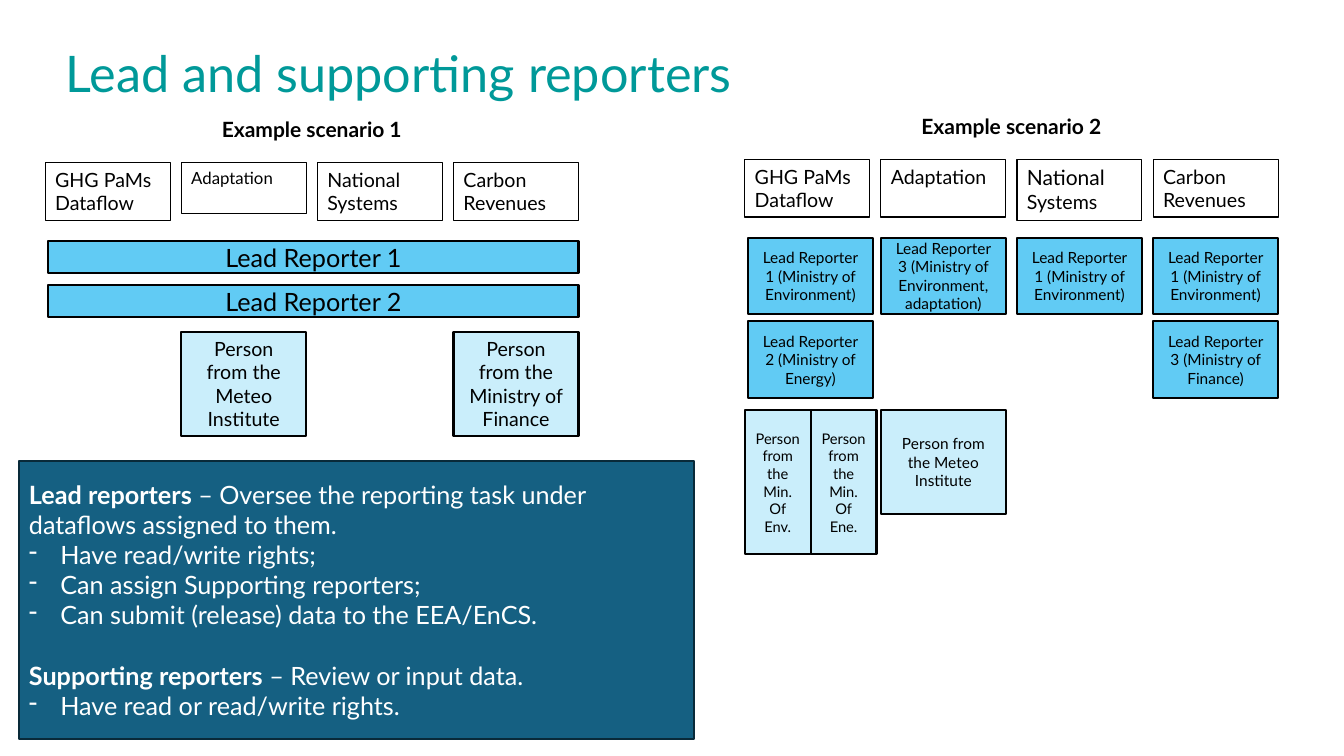
from dataclasses import dataclass

from lxml import etree
from pptx import Presentation
from pptx import util as u
from pptx.dml import color
from pptx.enum import shapes, text
from pptx.oxml import ns


@dataclass(frozen=True)
class Theme:
    font: str = "Lato"
    title: str = "009999"
    ink: str = "000000"
    paper: str = "FFFFFF"
    lead: str = "61CBF4"
    support: str = "CAEEFB"
    panel: str = "156082"
    panel_edge: str = "092A39"
    title_size: float = 36
    large: float = 18
    heading: float = 15
    body: float = 14
    reduced: float = 12
    small: float = 11
    tiny: float = 10.5


THEME = Theme()
COLUMN_PITCH, COLUMN_WIDTH = 3.43, 3.15
SCENARIO_WIDTH = 3 * COLUMN_PITCH + COLUMN_WIDTH
LEAD_INSET = 0.08
SUPPORT_HEIGHT = 2.62
MIDDLE = {"vertical_anchor": text.MSO_ANCHOR.MIDDLE}
TOP = {"vertical_anchor": text.MSO_ANCHOR.TOP}
CENTER, LEFT = text.PP_ALIGN.CENTER, text.PP_ALIGN.LEFT


def apply(target, formats):
    for name, value in formats.items():
        setattr(target, name, value)


def write(paragraph, runs, ink, align=LEFT):
    """Fill a paragraph from (wording, size, bold) runs."""
    paragraph.alignment = align
    for wording, size, bold in runs:
        run = paragraph.add_run()
        run.text = wording
        apply(run.font, {"name": THEME.font, "size": u.Pt(size), "bold": bold})
        run.font.color.rgb = color.RGBColor.from_string(ink)


def add_box(slide, box, fill, edge=THEME.ink, weight=1.5, frame_format=MIDDLE):
    """Draw a rectangle at box (left, top, width, height in cm); return its text frame."""
    rectangle = slide.shapes.add_shape(
        shapes.MSO_SHAPE.RECTANGLE, *(u.Cm(length) for length in box))
    rectangle.shadow.inherit = False
    rectangle.fill.solid()
    rectangle.fill.fore_color.rgb = color.RGBColor.from_string(fill)
    rectangle.line.color.rgb = color.RGBColor.from_string(edge)
    rectangle.line.width = u.Pt(weight)
    apply(rectangle.text_frame, {"word_wrap": True, **frame_format})
    return rectangle.text_frame


def add_role(slide, box, wording, size, fill):
    frame = add_box(slide, box, fill)
    write(frame.paragraphs[0], [(wording, size, False)], THEME.ink, CENTER)


def add_title(slide, box, wording):
    title = slide.shapes.title
    apply(title, dict(zip(("left", "top", "width", "height"), map(u.Cm, box))))
    apply(title.text_frame, {"word_wrap": True, "auto_size": text.MSO_AUTO_SIZE.NONE, **TOP})
    write(title.text_frame.paragraphs[0],
          [(wording, THEME.title_size, False)], THEME.title)


def add_scenario_head(slide, left, top, name, dataflows):
    """Place the scenario name and its row of dataflow boxes."""
    caption = slide.shapes.add_textbox(
        u.Cm(left), u.Cm(top), u.Cm(SCENARIO_WIDTH), u.Cm(0.89)).text_frame
    caption.word_wrap = True
    write(caption.paragraphs[0], [(name, THEME.heading, True)], THEME.ink, CENTER)
    for column, (runs, height) in enumerate(dataflows):
        box = (left + column * COLUMN_PITCH, top + 1.28, COLUMN_WIDTH, height)
        frame = add_box(slide, box, THEME.paper, weight=0.75, frame_format=TOP)
        write(frame.paragraphs[0], [(*run, False) for run in runs], THEME.ink)


def add_shared_scenario(slide, left, top):
    """Scenario 1: lead reporters span all the dataflows."""
    add_scenario_head(slide, left, top, "Example scenario 1", [
        ([("GHG PaMs Dataflow", THEME.body)], 1.45),
        ([("Adaptation", THEME.reduced)], 1.27),
        ([("National Systems", THEME.body)], 1.45),
        ([("Carbon Revenues", THEME.body)], 1.45)])
    for row, reporter in enumerate(("Lead Reporter 1", "Lead Reporter 2")):
        box = (left + LEAD_INSET, top + 3.25 + row * 1.12,
               SCENARIO_WIDTH - LEAD_INSET, 0.81)
        add_role(slide, box, reporter, THEME.large, THEME.lead)
    for column, person in ((1, "Person from the Meteo Institute"),
                           (3, "Person from the Ministry of Finance")):
        box = (left + column * COLUMN_PITCH, top + 5.54, COLUMN_WIDTH, SUPPORT_HEIGHT)
        add_role(slide, box, person, THEME.body, THEME.support)


def add_split_scenario(slide, left, top):
    """Scenario 2: each dataflow has its own reporters."""
    add_scenario_head(slide, left, top, "Example scenario 2", [
        ([("GHG PaMs Dataflow", THEME.body)], 1.45),
        ([("Adaptation", THEME.body)], 1.45),
        ([("National ", THEME.heading), ("Systems", THEME.body)], 1.55),
        ([("Carbon Revenues", THEME.body)], 1.45)])
    environment = "Lead Reporter 1 (Ministry of Environment)"
    leads = [
        (0, 0, environment),
        (1, 0, "Lead Reporter 3 (Ministry of Environment, adaptation)"),
        (2, 0, environment),
        (3, 0, environment),
        (0, 1, "Lead Reporter 2 (Ministry of Energy)"),
        (3, 1, "Lead Reporter 3 (Ministry of Finance)")]
    for column, row, reporter in leads:
        inset = 0 if column else LEAD_INSET
        box = (left + column * COLUMN_PITCH + inset, top + 3.25 + row * 2.11,
               COLUMN_WIDTH, 1.93)
        add_role(slide, box, reporter, THEME.small, THEME.lead)
    support_top = top + 7.6
    for place, ministry in enumerate(("Env.", "Ene.")):
        box = (left + place * 1.66, support_top, 1.66, 3.63)
        add_role(slide, box, f"Person from the Min. Of {ministry}",
                 THEME.tiny, THEME.support)
    add_role(slide, (left + COLUMN_PITCH, support_top, COLUMN_WIDTH, SUPPORT_HEIGHT),
             "Person from the Meteo Institute", THEME.small, THEME.support)


def add_dash(paragraph):
    properties = paragraph._p.get_or_add_pPr()
    indent = u.Cm(0.79)
    properties.set("marL", str(indent))
    properties.set("indent", str(-indent))
    etree.SubElement(properties, ns.qn("a:buChar")).set("char", "-")


def add_definitions(slide, box):
    """Explain the two roles and list their rights."""
    roles = [
        ("Lead reporters",
         " – Oversee the reporting task under dataflows assigned to them.",
         ["Have read/write rights;", "Can assign Supporting reporters;",
          "Can submit (release) data to the EEA/EnCS."]),
        ("Supporting reporters", " – Review or input data.",
         ["Have read or read/write rights."])]
    frame = add_box(slide, box, THEME.panel, THEME.panel_edge)
    for index, (role, duty, rights) in enumerate(roles):
        intro = frame.add_paragraph() if index else frame.paragraphs[0]
        if index:
            intro.space_before = u.Pt(THEME.large * 1.2)
        write(intro, [(role, THEME.large, True), (duty, THEME.large, False)], THEME.paper)
        for right in rights:
            item = frame.add_paragraph()
            add_dash(item)
            write(item, [(right, THEME.large, False)], THEME.paper)


def main():
    deck = Presentation()
    apply(deck, {"slide_width": u.Cm(33.87), "slide_height": u.Cm(19.05)})
    slide = deck.slides.add_slide(deck.slide_layouts[5])
    add_title(slide, (1.4, 0.94, 21.9, 1.8), "Lead and supporting reporters")
    add_shared_scenario(slide, 1.14, 2.82)
    add_split_scenario(slide, 18.77, 2.74)
    add_definitions(slide, (0.48, 11.61, 17.02, 7.01))
    deck.save("out.pptx")


if __name__ == "__main__":
    main()
